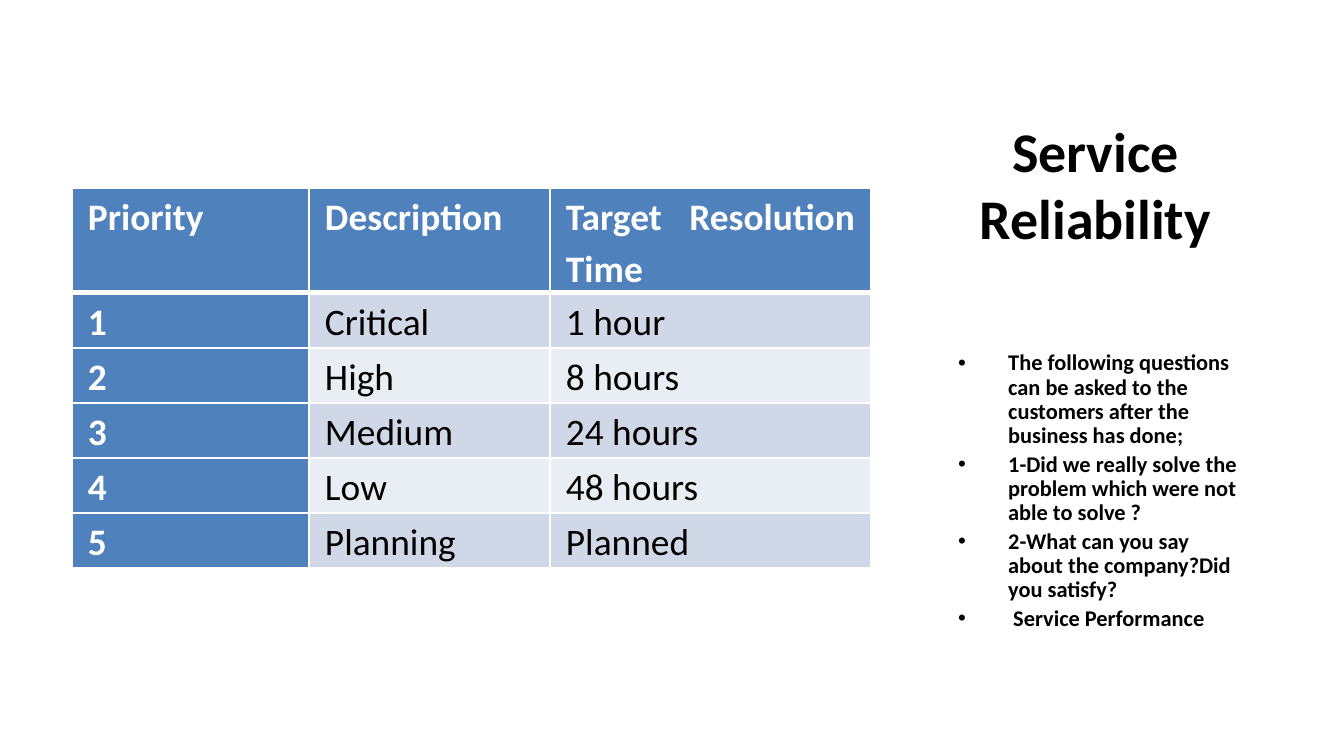
from dataclasses import dataclass

from lxml import etree
from pptx import Presentation
from pptx.dml.color import RGBColor
from pptx.enum.text import MSO_ANCHOR, MSO_AUTO_SIZE, PP_ALIGN
from pptx.oxml.ns import qn
from pptx.util import Emu, Pt

CENTER, JUSTIFY, LEFT = PP_ALIGN.CENTER, PP_ALIGN.JUSTIFY, PP_ALIGN.LEFT
BOTTOM, TOP = MSO_ANCHOR.BOTTOM, MSO_ANCHOR.TOP
NO_AUTOFIT = MSO_AUTO_SIZE.NONE
TITLE_ONLY = 5
EMU_PER_PX = 914400 / 134.4


@dataclass(frozen=True)
class Theme:
    font: str = "Calibri"
    text: str = "000000"
    light: str = "FFFFFF"
    accent: str = "4F81BD"
    bands: tuple[str, str] = ("D0D8E8", "E9EDF4")
    title_size: int = 30
    table_size: int = 20
    question_size: int = 12


@dataclass(frozen=True)
class Box:
    left: int
    top: int
    width: int
    height: int

    def emu(self) -> tuple[Emu, Emu, Emu, Emu]:
        return px(self.left), px(self.top), px(self.width), px(self.height)


@dataclass(frozen=True)
class Priority:
    level: str
    description: str
    target: str


THEME = Theme()
TITLE_BOX = Box(941, 71, 309, 254)
QUESTIONS_BOX = Box(945, 345, 306, 339)
TABLE_BOX = Box(72, 188, 799, 380)
COLUMN_WIDTHS = (237, 241, 321)
HEADER_HEIGHT, ROW_HEIGHT = 105, 55
CELL_INSET = 16
BULLET_INDENT = 50
TITLE_BOTTOM_INSET = 74

HEADER = Priority("Priority", "Description", "Target Resolution Time")
PRIORITIES = (
    Priority("1", "Critical", "1 hour"),
    Priority("2", "High", "8 hours"),
    Priority("3", "Medium", "24 hours"),
    Priority("4", "Low", "48 hours"),
    Priority("5", "Planning", "Planned"),
)
QUESTIONS = (
    "The following questions can be asked to the customers after the business has done;",
    "1-Did we really solve the problem which were not able to solve ?",
    "2-What can you say about the company?Did you satisfy?",
    " Service Performance",
)


def px(length: int) -> Emu:
    return Emu(round(length * EMU_PER_PX))


def format_paragraph(paragraph, size: int, color: str, bold: bool, alignment) -> None:
    paragraph.alignment = alignment
    for run in paragraph.runs:
        run.font.name = THEME.font
        run.font.size = Pt(size)
        run.font.bold = bold
        run.font.color.rgb = RGBColor.from_string(color)


def add_title(slide) -> None:
    title = slide.shapes.title
    title.left, title.top, title.width, title.height = TITLE_BOX.emu()
    frame = title.text_frame
    frame.text = "Service Reliability"
    frame.word_wrap = True
    frame.auto_size = NO_AUTOFIT
    frame.vertical_anchor = BOTTOM
    frame.margin_bottom = px(TITLE_BOTTOM_INSET)
    format_paragraph(frame.paragraphs[0], THEME.title_size, THEME.text, True, CENTER)


def add_bullet(paragraph) -> None:
    properties = paragraph._p.get_or_add_pPr()
    properties.set("marL", str(px(BULLET_INDENT)))
    properties.set("indent", str(-px(BULLET_INDENT)))
    etree.SubElement(properties, qn("a:buFont"), typeface="Arial")
    etree.SubElement(properties, qn("a:buChar"), char="•")


def add_questions(slide) -> None:
    frame = slide.shapes.add_textbox(*QUESTIONS_BOX.emu()).text_frame
    frame.word_wrap = True
    frame.text = "\n".join(QUESTIONS)
    for paragraph in frame.paragraphs:
        format_paragraph(paragraph, THEME.question_size, THEME.text, True, LEFT)
        paragraph.line_spacing = 0.9
        paragraph.space_before = Pt(THEME.question_size * 0.2)
        add_bullet(paragraph)


def set_borders(cell, widths: dict[str, int]) -> None:
    """Draw the cell's sides (L, R, T, B) in the given point widths; call before filling."""
    properties = cell._tc.get_or_add_tcPr()
    for side, width in widths.items():
        line = etree.SubElement(properties, qn(f"a:ln{side}"), w=str(Pt(width)))
        fill = etree.SubElement(line, qn("a:solidFill"))
        etree.SubElement(fill, qn("a:srgbClr"), val=THEME.light)


def fill_cell(cell, text: str, row: int, column: int) -> None:
    heading = row == 0 or column == 0
    set_borders(cell, {"L": 1, "R": 1, "T": 3 if row == 1 else 1, "B": 3 if row == 0 else 1})
    cell.fill.solid()
    background = THEME.accent if heading else THEME.bands[(row - 1) % 2]
    cell.fill.fore_color.rgb = RGBColor.from_string(background)
    cell.margin_left = cell.margin_right = px(CELL_INSET)
    cell.margin_top = cell.margin_bottom = 0
    cell.vertical_anchor = TOP
    cell.text_frame.text = text
    paragraph = cell.text_frame.paragraphs[0]
    color = THEME.light if heading else THEME.text
    format_paragraph(paragraph, THEME.table_size, color, heading, JUSTIFY)
    paragraph.line_spacing = 1.15
    paragraph.space_after = Pt(10)


def add_priority_table(slide) -> None:
    records = (HEADER, *PRIORITIES)
    table = slide.shapes.add_table(len(records), len(COLUMN_WIDTHS), *TABLE_BOX.emu()).table
    table.first_col = True
    for column, width in zip(table.columns, COLUMN_WIDTHS):
        column.width = px(width)
    for row, record in enumerate(records):
        table.rows[row].height = px(ROW_HEIGHT if row else HEADER_HEIGHT)
        for column, text in enumerate((record.level, record.description, record.target)):
            fill_cell(table.cell(row, column), text, row, column)


def main() -> None:
    presentation = Presentation()
    presentation.slide_width, presentation.slide_height = px(1344), px(756)
    slide = presentation.slides.add_slide(presentation.slide_layouts[TITLE_ONLY])
    add_title(slide)
    add_questions(slide)
    add_priority_table(slide)
    presentation.save("out.pptx")


if __name__ == "__main__":
    main()
